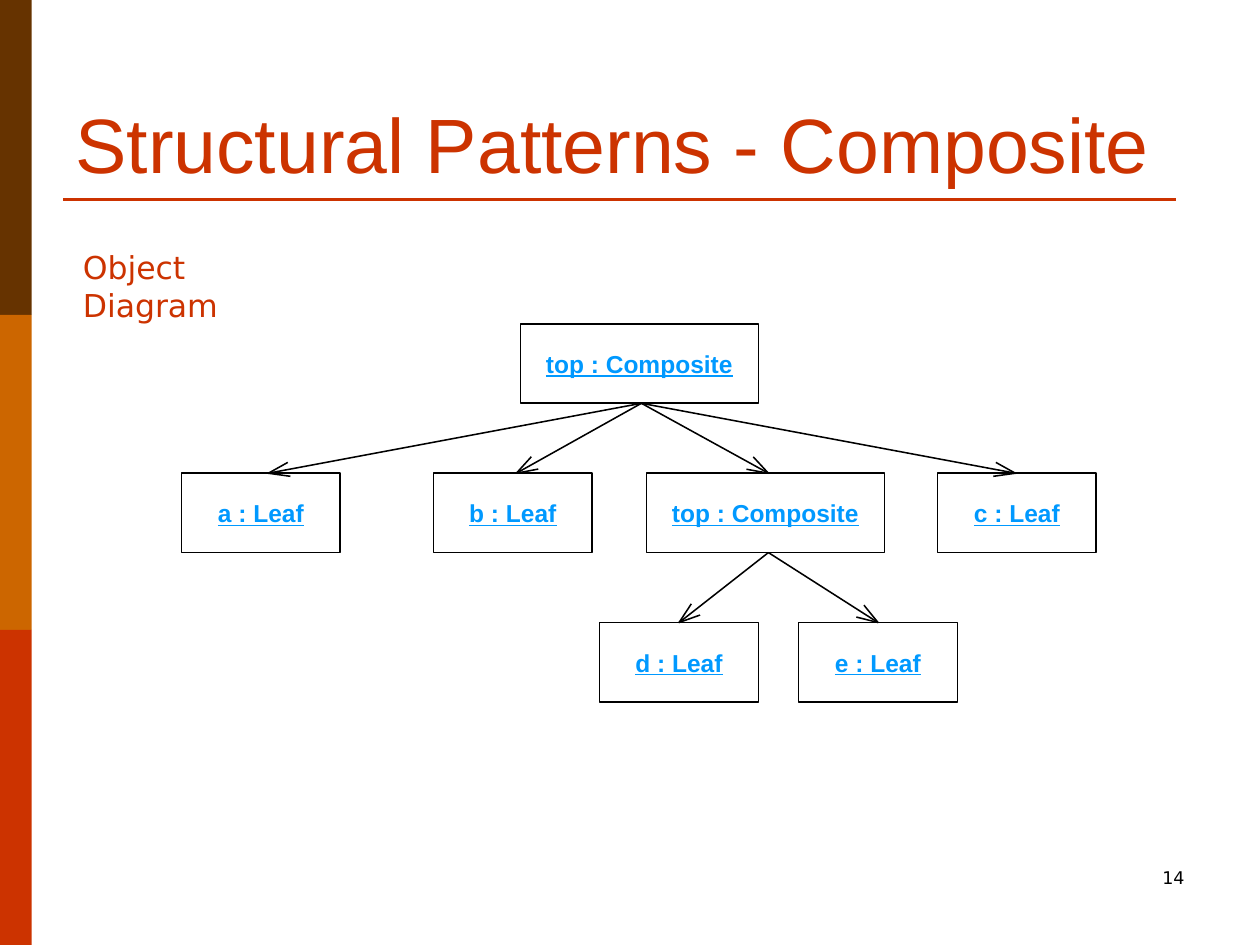
from math import atan2, cos, radians, sin
from lxml import etree
from pptx import Presentation
from pptx.dml.color import RGBColor
from pptx.enum.shapes import MSO_CONNECTOR, MSO_SHAPE
from pptx.enum.text import MSO_ANCHOR, PP_ALIGN
from pptx.oxml.ns import qn
from pptx.util import Cm, Pt

RECT = MSO_SHAPE.RECTANGLE
LINE = MSO_CONNECTOR.STRAIGHT
LEFT, MID, RIGHT = PP_ALIGN.LEFT, PP_ALIGN.CENTER, PP_ALIGN.RIGHT
TOP, CENTRE, BASE = MSO_ANCHOR.TOP, MSO_ANCHOR.MIDDLE, MSO_ANCHOR.BOTTOM

# Content (lengths in cm)
TITLE = "Structural Patterns - Composite"
LABEL = "Object Diagram"
PAGE = "14"
RED, BLACK, WHITE, BLUE = "CC3300", "000000", "FFFFFF", "0099FF"
BANDS = ["663300", "CC6600", RED]
WIDE, SLIM, TALL = 4.8, 3.2, 1.6
ROW_TOP, ROW_STEP = 6.53, 3.01
# key: text, left, row, width, x where arrows meet the box
NODES = {
    "top": ("top : Composite", 10.49, 0, WIDE, 12.93),
    "a": ("a : Leaf", 3.66, 1, SLIM, 5.41),
    "b": ("b : Leaf", 8.74, 1, SLIM, 10.41),
    "sub": ("top : Composite", 13.03, 1, WIDE, 15.49),
    "c": ("c : Leaf", 18.9, 1, SLIM, 20.47),
    "d": ("d : Leaf", 12.09, 2, SLIM, 13.69),
    "e": ("e : Leaf", 16.1, 2, SLIM, 17.7),
}
TREE = {"top": ["a", "b", "sub", "c"], "sub": ["d", "e"]}
THIN = 0.88
BARB, SPREAD = 0.45, radians(18.5)


def paint(form, color):
    form.solid()
    form.fore_color.rgb = RGBColor.from_string(color)


def write(shape, text, size=14, font="Arial", color=BLACK, align=LEFT,
          anchor=TOP, bold=False, under=False, pad=(0.25, 0.13)):
    frame = shape.text_frame
    frame.word_wrap = True
    frame.vertical_anchor = anchor
    frame.margin_left = frame.margin_right = Cm(pad[0])
    frame.margin_top = frame.margin_bottom = Cm(pad[1])
    para = frame.paragraphs[0]
    para.alignment = align
    run = para.add_run()
    run.text = text
    run.font.name, run.font.size = font, Pt(size)
    run.font.bold, run.font.underline = bold, under
    paint(run.font.fill, color)


def add_box(x, y, w, h, fill, edge=None):
    box = shapes.add_shape(RECT, Cm(x), Cm(y), Cm(w), Cm(h))
    box.shadow.inherit = False
    paint(box.fill, fill)
    if edge:
        paint(box.line.fill, edge)
        box.line.width = Pt(THIN)
    else:
        box.line.fill.background()
    return box


def add_line(start, end, color, width):
    line = shapes.add_connector(LINE, *map(Cm, start + end))
    paint(line.line.fill, color)
    line.line.width = Pt(width)
    etree.SubElement(line._element.spPr, qn("a:effectLst"))


def add_arrow(start, end):
    add_line(start, end, BLACK, THIN)
    back = atan2(start[1] - end[1], start[0] - end[0])
    wings = [(Cm(end[0] + BARB * cos(back + turn)),
              Cm(end[1] + BARB * sin(back + turn)))
             for turn in (SPREAD, -SPREAD)]
    path = shapes.build_freeform(*wings[0])
    path.add_line_segments([tuple(map(Cm, end)), wings[1]], close=False)
    head = path.convert_to_shape()
    head.shadow.inherit = False
    head.fill.background()
    paint(head.line.fill, BLACK)
    head.line.width = Pt(THIN)


def row_y(row):
    return ROW_TOP + row * ROW_STEP


deck = Presentation()
deck.slide_width, deck.slide_height = Cm(25.4), Cm(19.05)
slide = deck.slides.add_slide(deck.slide_layouts[5])
shapes = slide.shapes

# Side bands and title rule
for i, color in enumerate(BANDS):
    add_box(0, i * 6.35, 0.64, 6.35, color)
add_line((1.27, 4.02), (23.7, 4.02), RED, 1.5)

# Title, label and page number
title = shapes.title
title.left, title.top = Cm(1.27), Cm(0.76)
title.width, title.height = Cm(22.86), Cm(3.18)
write(title, TITLE, size=44, color=RED, anchor=BASE)
label = shapes.add_textbox(Cm(1.42), Cm(4.88), Cm(5.2), Cm(1.02))
write(label, LABEL, size=18, font="DejaVu Sans", color=RED)
page = shapes.add_textbox(Cm(18.2), Cm(17.35), Cm(5.93), Cm(1.27))
write(page, PAGE, size=10, font="DejaVu Sans", align=RIGHT)

# Object boxes
for text, x, row, width, port in NODES.values():
    box = add_box(x, row_y(row), width, TALL, WHITE, BLACK)
    write(box, text, color=BLUE, align=MID, anchor=CENTRE,
          bold=True, under=True, pad=(0, 0))

# Arrows from parent to child
for parent, kids in TREE.items():
    _, _, row, _, port = NODES[parent]
    for kid in kids:
        add_arrow((port, row_y(row) + TALL),
                  (NODES[kid][4], row_y(row + 1)))

deck.save("out.pptx")
